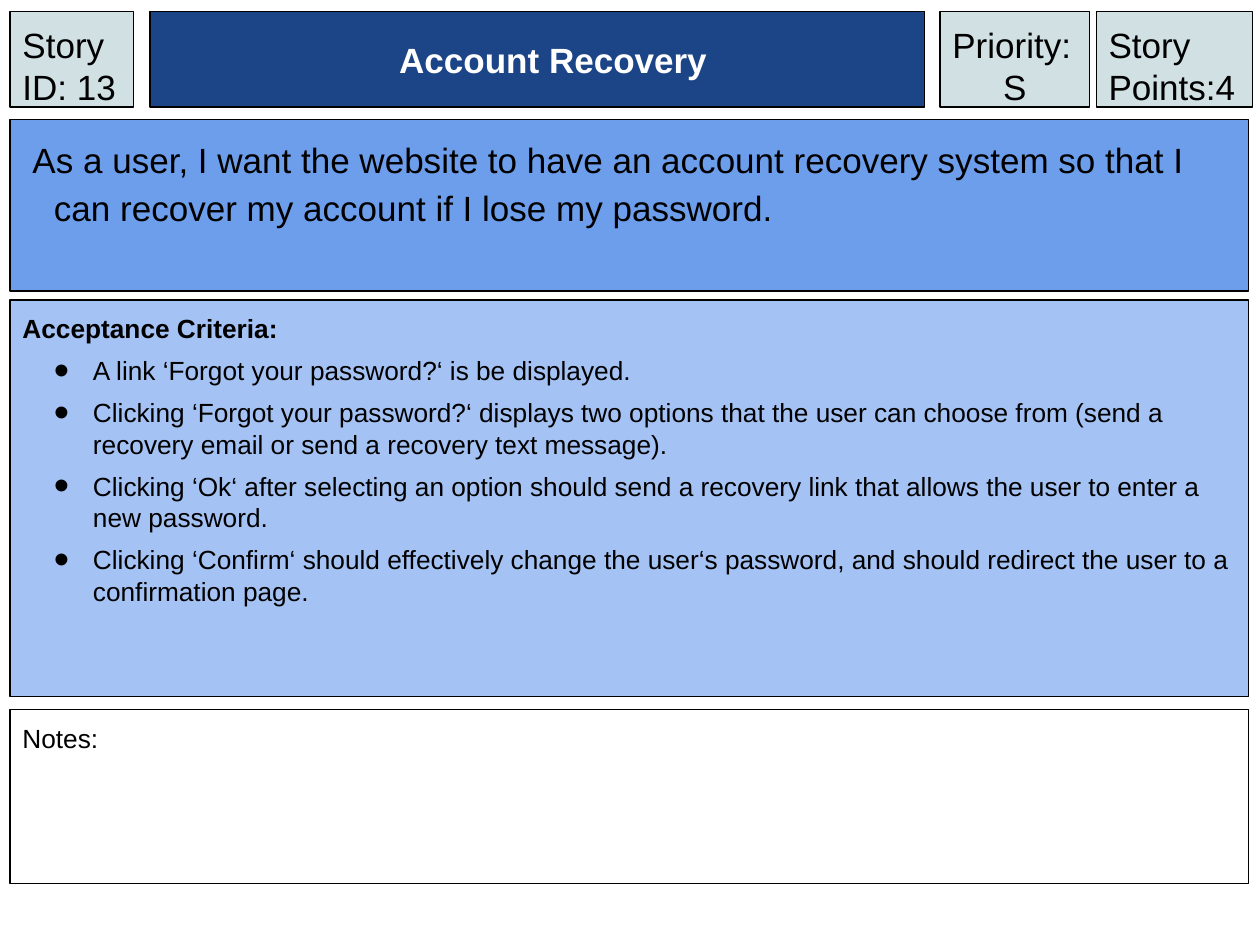
from lxml import etree
from pptx import Presentation
from pptx import util as u
from pptx.dml.color import RGBColor
from pptx.enum import shapes, text
from pptx.oxml.ns import qn

COLORS = {
    "ink": "000000", "white": "FFFFFF", "navy": "1C4587",
    "story": "6D9EEB", "criteria": "A4C2F4", "tag": "D0E0E3",
}
LEFT, FULL_WIDTH = 0.08, 9.83
HEADER_TOP, HEADER_HEIGHT = 0.09, 0.76


def rgb(name):
    return RGBColor.from_string(COLORS[name])


def add_bullet(p_pr):
    color = etree.SubElement(p_pr, qn("a:buClr"))
    etree.SubElement(color, qn("a:srgbClr"), val=COLORS["ink"])
    etree.SubElement(p_pr, qn("a:buSzPct"), val="167000")
    etree.SubElement(p_pr, qn("a:buFont"), typeface="Arial")
    etree.SubElement(p_pr, qn("a:buChar"), char="•")


def write(paragraph, wording, size=20, color="ink", bold=False, align="LEFT",
          margin=0, indent=0, before=None, spacing=None, bullet=False):
    p_pr = paragraph._p.get_or_add_pPr()
    p_pr.set("marL", str(u.Inches(margin)))
    p_pr.set("indent", str(u.Inches(indent)))
    if bullet:
        add_bullet(p_pr)
    paragraph.alignment = getattr(text.PP_ALIGN, align)
    if before is not None:
        paragraph.space_before = u.Pt(before)
    if spacing is not None:
        paragraph.line_spacing = spacing
    run = paragraph.add_run()
    run.text = wording
    run.font.name = "Arial"
    run.font.size = u.Pt(size)
    run.font.bold = bold
    run.font.color.rgb = rgb(color)


class StoryCard:
    def __init__(self, slide):
        self.slide = slide

    def box(self, left, top, width, height, fill, lines, anchor="TOP"):
        """Draw a panel; lines holds (wording, format) pairs."""
        panel = self.slide.shapes.add_shape(
            shapes.MSO_SHAPE.RECTANGLE,
            *(u.Inches(length) for length in (left, top, width, height)))
        panel.shadow.inherit = False
        panel.fill.solid()
        panel.fill.fore_color.rgb = rgb(fill)
        panel.line.color.rgb = rgb("ink")
        panel.line.width = u.Pt(0.75)

        frame = panel.text_frame
        frame.word_wrap = True
        frame.vertical_anchor = getattr(text.MSO_ANCHOR, anchor)
        frame.margin_left = frame.margin_right = u.Inches(0.1)
        frame.margin_top = frame.margin_bottom = u.Inches(0.1)
        for number, (wording, style) in enumerate(lines):
            paragraph = frame.add_paragraph() if number else frame.paragraphs[0]
            write(paragraph, wording, **style)

    def header(self, left, width, lines, fill="tag", anchor="TOP"):
        self.box(left, HEADER_TOP, width, HEADER_HEIGHT, fill, lines, anchor)

    def section(self, top, height, fill, lines):
        self.box(LEFT, top, FULL_WIDTH, height, fill, lines)


def main():
    deck = Presentation()
    deck.slide_width, deck.slide_height = u.Inches(10), u.Inches(7.5)
    card = StoryCard(deck.slides.add_slide(deck.slide_layouts[6]))

    # User story
    card.section(0.95, 1.36, "story", [
        ("As a user, I want the website to have an account recovery system "
         "so that I can recover my account if I lose my password.",
         dict(margin=0.25, indent=-0.17, spacing=1.15))])

    # Title
    card.header(1.19, 6.15, [
        ("Account Recovery",
         dict(color="white", bold=True, align="CENTER", indent=0.25))],
        fill="navy", anchor="MIDDLE")

    # Acceptance criteria
    heading = dict(size=15, margin=0.38, indent=-0.38)
    item = dict(size=15, margin=0.56, indent=-0.31, before=6, bullet=True)
    criteria = [
        "A link ‘Forgot your password?‘ is be displayed.",
        "Clicking ‘Forgot your password?‘ displays two options that the user "
        "can choose from (send a recovery email or send a recovery text "
        "message).",
        "Clicking ‘Ok‘ after selecting an option should send a recovery link "
        "that allows the user to enter a new password.",
        "Clicking ‘Confirm‘ should effectively change the user‘s password, "
        "and should redirect the user to a confirmation page.",
    ]
    card.section(2.38, 3.15, "criteria",
                 [("Acceptance Criteria:", dict(heading, bold=True))]
                 + [(criterion, item) for criterion in criteria])

    # Notes
    card.section(5.63, 1.38, "white", [("Notes:", heading)])

    # Header tags
    card.header(8.7, 1.24, [("Story Points:4", {})])
    card.header(7.46, 1.19, [("Priority:", {}), ("S", dict(align="CENTER"))])
    card.header(LEFT, 0.98, [("Story ID: 13", {})])

    deck.save("out.pptx")


if __name__ == "__main__":
    main()
